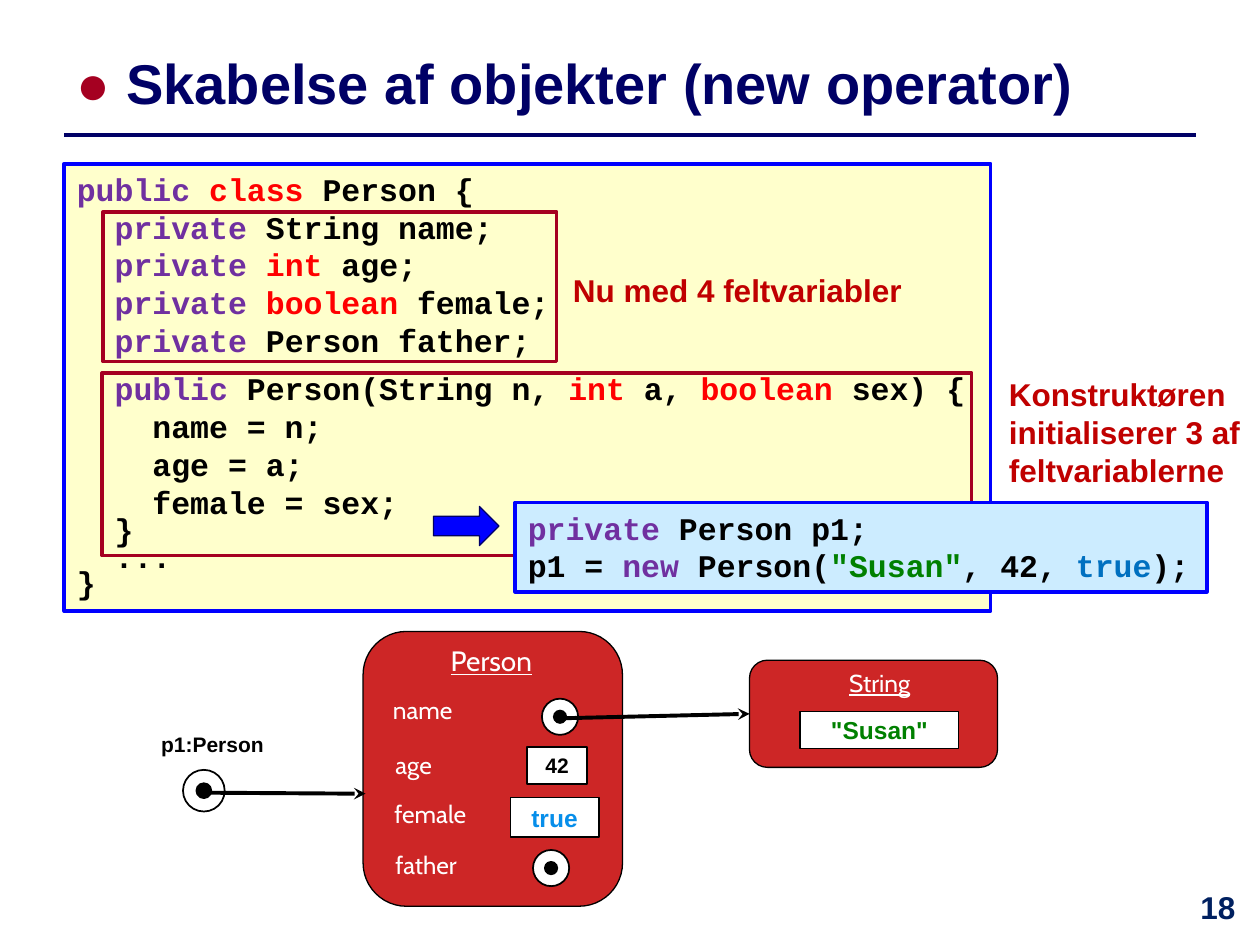
from pptx import Presentation
from pptx.dml.color import RGBColor
from pptx.enum.shapes import MSO_CONNECTOR, MSO_SHAPE
from pptx.enum.text import MSO_ANCHOR, PP_ALIGN
from pptx.oxml.ns import qn
from pptx.util import Cm, Pt
from lxml.etree import SubElement

NAVY = RGBColor(0x00, 0x00, 0x66)
PAGE_BLUE = RGBColor(0x00, 0x20, 0x60)
BLUE = RGBColor(0x00, 0x00, 0xFF)
LIGHT_BLUE = RGBColor(0xCC, 0xEC, 0xFF)
TRUE_BLUE = RGBColor(0x00, 0x70, 0xC0)
VALUE_BLUE = RGBColor(0x06, 0x8E, 0xEA)
CRIMSON = RGBColor(0xA5, 0x00, 0x21)
DARK_RED = RGBColor(0xC0, 0x00, 0x00)
OBJECT_RED = RGBColor(0xCD, 0x26, 0x26)
RED = RGBColor(0xFF, 0x00, 0x00)
PURPLE = RGBColor(0x70, 0x30, 0xA0)
GREEN = RGBColor(0x00, 0x80, 0x00)
CREAM = RGBColor(0xFF, 0xFF, 0xCC)
BLACK = RGBColor(0x00, 0x00, 0x00)
WHITE = RGBColor(0xFF, 0xFF, 0xFF)

prs = Presentation()
prs.slide_width, prs.slide_height = Cm(25.4), Cm(19.05)
s = prs.slides.add_slide(prs.slide_layouts[6])


def add_box(kind, x, y, w, h, fill=None, line=None, weight=0.75):
    """Add a preset shape, or a text box when kind is None; lengths in cm."""
    place = Cm(x), Cm(y), Cm(w), Cm(h)
    if kind is None:
        return s.shapes.add_textbox(*place)
    sp = s.shapes.add_shape(kind, *place)
    sp.shadow.inherit = False
    if fill is None:
        sp.fill.background()
    else:
        sp.fill.solid()
        sp.fill.fore_color.rgb = fill
    if line is None:
        sp.line.fill.background()
    else:
        sp.line.color.rgb = line
        sp.line.width = Pt(weight)
    return sp


def write(sp, lines, size, font="Arial", bold=True, align=PP_ALIGN.LEFT,
          anchor=MSO_ANCHOR.TOP, wrap=True, underline=None):
    """Fill sp with lines, each a list of (text, colour) runs."""
    tf = sp.text_frame
    tf.word_wrap = wrap
    tf.vertical_anchor = anchor
    for i, line in enumerate(lines):
        p = tf.add_paragraph() if i else tf.paragraphs[0]
        p.alignment = align
        for text, color in line:
            r = p.add_run()
            r.text = text
            r.font.name, r.font.size = font, Pt(size)
            r.font.bold, r.font.underline = bold, underline
            r.font.color.rgb = color
    return tf


# Title, rule and page number
write(add_box(None, 1.3, 0.71, 24.1, 1.9),
      [[("● ", CRIMSON), ("Skabelse af objekter (new operator)", NAVY)]],
      32, anchor=MSO_ANCHOR.MIDDLE)
write(add_box(None, 23.7, 17.78, 1.7, 1.27), [[("18", PAGE_BLUE)]], 18,
      align=PP_ALIGN.CENTER)

# Class definition
class_code = [
    [("public ", PURPLE), ("class ", RED), ("Person {", BLACK)],
    [("  private ", PURPLE), ("String name;", BLACK)],
    [("  private ", PURPLE), ("int ", RED), ("age;", BLACK)],
    [("  private ", PURPLE), ("boolean ", RED), ("female;", BLACK)],
    [("  private ", PURPLE), ("Person father;", BLACK)],
    [("  public", PURPLE), (" Person(String n, ", BLACK), ("int ", RED),
     ("a, ", BLACK), ("boolean ", RED), ("sex) {", BLACK)],
    [("    name = n;", BLACK)],
    [("    age = a;", BLACK)],
    [("    female = sex;", BLACK)],
    [("  }", BLACK)],
    [("  ...", BLACK)],
    [("}", BLACK)],
]
class_box = add_box(MSO_SHAPE.RECTANGLE, 1.3, 3.3, 18.67, 9.02, CREAM, BLUE, 2.25)
tf = write(class_box, class_code, 18, "Courier New")
tf.paragraphs[5].space_before = Pt(6)
for p in tf.paragraphs[-3:]:
    p.line_spacing = 0.7

# Frames round the fields and the constructor, with their comments
for x, y, w, h in [(2.08, 4.27, 9.14, 3.02), (2.06, 7.52, 17.53, 3.68)]:
    add_box(MSO_SHAPE.RECTANGLE, x, y, w, h, line=CRIMSON, weight=2)
for text, x, y, w, h in [
    ("Nu med 4 feltvariabler", 11.3, 5.33, 7.19, 0.99),
    ("Konstruktøren initialiserer 3 af feltvariablerne", 20.09, 7.44, 5.36, 2.57),
]:
    write(add_box(None, x, y, w, h), [[(text, DARK_RED)]], 18)

# Object creation
add_box(MSO_SHAPE.RIGHT_ARROW, 8.74, 10.21, 1.32, 0.79, BLUE, NAVY)
creation_code = [
    [("private ", PURPLE), ("Person p1;", BLACK)],
    [("p1 = ", BLACK), ("new", PURPLE), (" Person(", BLACK),
     ('"Susan"', GREEN), (", 42, ", BLACK), ("true", TRUE_BLUE), (");", BLACK)],
]
creation_box = add_box(MSO_SHAPE.RECTANGLE, 10.39, 10.13, 13.94, 1.8,
                       LIGHT_BLUE, BLUE, 2.25)
write(creation_box, creation_code, 18, "Courier New")

# Object diagram: objects and their headings
person = add_box(MSO_SHAPE.ROUNDED_RECTANGLE, 7.32, 12.73, 5.23, 5.54, OBJECT_RED, BLACK)
string = add_box(MSO_SHAPE.ROUNDED_RECTANGLE, 15.11, 13.31, 5, 2.16, OBJECT_RED, BLACK)
for sp in (person, string):
    sp.adjustments[0] = 0.167
for text, size, x, y, w, h in [("Person", 16, 8.66, 12.85, 2.49, 0.94),
                               ("String", 14, 15.93, 13.34, 3.61, 0.66)]:
    write(add_box(None, x, y, w, h), [[(text, WHITE)]], size, "Cabin",
          bold=False, align=PP_ALIGN.CENTER, underline=True)

for field, x, y in [("name", 7.67, 13.89), ("age", 7.72, 14.99),
                    ("female", 7.7, 15.98), ("father", 7.72, 17.02)]:
    write(add_box(None, x, y, 2.87, 0.84), [[(field, WHITE)]], 14, "Cabin", bold=False)

# Values and variable name
for text, color, size, x, y, w, h, line, weight in [
    ("p1:Person", BLACK, 12, 2.62, 14.58, 3.33, 0.86, None, 0),
    ("42", BLACK, 12, 10.62, 15.06, 1.22, 0.74, BLACK, 1),
    ("true", VALUE_BLUE, 14, 10.29, 16.08, 1.78, 0.79, BLACK, 1),
    ('"Susan"', GREEN, 14, 16.13, 14.35, 3.2, 0.74, BLACK, 0.75),
]:
    sp = add_box(MSO_SHAPE.RECTANGLE, x, y, w, h, WHITE, line, weight)
    write(sp, [[(text, color)]], size, align=PP_ALIGN.CENTER,
          anchor=MSO_ANCHOR.MIDDLE, wrap=False)

# References: a ring with a dot on the same centre
for cx, cy, ring, dot in [(4.11, 15.94, 0.84, 0.3), (11.29, 14.45, 0.73, 0.25),
                          (11.11, 17.5, 0.73, 0.25)]:
    for d, fill in [(ring, WHITE), (dot, BLACK)]:
        add_box(MSO_SHAPE.OVAL, cx - d / 2, cy - d / 2, d, d, fill, BLACK, 1)

# Title rule and reference arrows
for x1, y1, x2, y2, color, weight, target in [
    (1.3, 2.72, 24.1, 2.72, NAVY, 2, None),
    (4.19, 15.98, 7.37, 16, BLACK, 2.25, person),
    (11.3, 14.48, 15.11, 14.39, BLACK, 2.25, string),
]:
    line = s.shapes.add_connector(MSO_CONNECTOR.STRAIGHT, Cm(x1), Cm(y1), Cm(x2), Cm(y2))
    line.line.color.rgb = color
    line.line.width = Pt(weight)
    if target is string:
        line.end_connect(string, 1)
    if target is not None:
        SubElement(line.line._get_or_add_ln(), qn("a:tailEnd"), type="stealth")
    SubElement(line._element.spPr, qn("a:effectLst"))

prs.save("out.pptx")
